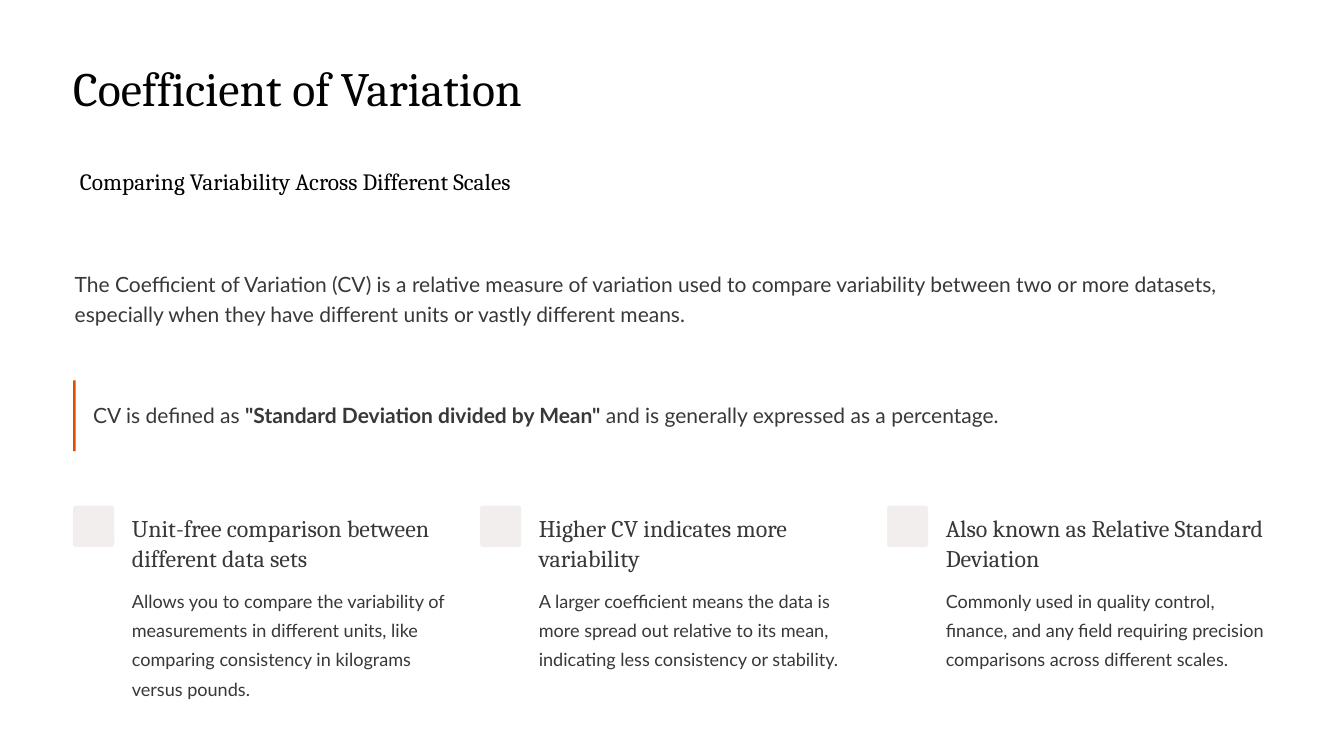
from pptx import Presentation
from pptx.dml.color import RGBColor
from pptx.enum.shapes import MSO_SHAPE
from pptx.util import Inches, Pt

RECT, ROUNDED = MSO_SHAPE.RECTANGLE, MSO_SHAPE.ROUNDED_RECTANGLE
WHITE = RGBColor(0xFF, 0xFF, 0xFF)
BLACK = RGBColor(0x02, 0x02, 0x02)
GREY = RGBColor(0x38, 0x38, 0x38)
ORANGE = RGBColor(0xE0, 0x4F, 0x00)
TILE = RGBColor(0xF2, 0xEE, 0xEE)
SERIF, SANS = "Cambria", "Lato"

TITLE = "Coefficient of Variation"
SUBTITLE = "Comparing Variability Across Different Scales"
INTRO = ("The Coefficient of Variation (CV) is a relative measure of variation used to "
         "compare variability between two or more datasets, especially when they have "
         "different units or vastly different means.")
# (text, bold)
DEFINITION = [
    ("CV is defined as ", False),
    ('"Standard Deviation divided by Mean"', True),
    (" and is generally expressed as a percentage.", False),
]
# (heading, body, body height)
POINTS = [
    ("Unit-free comparison between different data sets",
     "Allows you to compare the variability of measurements in different units, "
     "like comparing consistency in kilograms versus pounds.", 1.39),
    ("Higher CV indicates more variability",
     "A larger coefficient means the data is more spread out relative to its mean, "
     "indicating less consistency or stability.", 1.04),
    ("Also known as Relative Standard Deviation",
     "Commonly used in quality control, finance, and any field requiring precision "
     "comparisons across different scales.", 1.39),
]

MARGIN = 0.87
COLUMN_STEP = 4.845
TILE_SIZE = 0.49
TEXT_INDENT = 0.7
TEXT_WIDTH = 3.87


def add_text(slide, box, runs, font, size, color, line):
    """Add a one-paragraph text box; runs is a list of (text, bold)."""
    tf = slide.shapes.add_textbox(*map(Inches, box)).text_frame
    tf.word_wrap = True
    tf.margin_left = tf.margin_top = tf.margin_right = tf.margin_bottom = 0
    p = tf.paragraphs[0]
    p.line_spacing = Pt(line)
    for text, bold in runs:
        r = p.add_run()
        r.text = text
        r.font.name, r.font.size, r.font.bold = font, Pt(size), bold
        r.font.color.rgb = color


def add_block(slide, kind, box, color):
    sp = slide.shapes.add_shape(kind, *map(Inches, box))
    sp.shadow.inherit = False
    sp.fill.solid()
    sp.fill.fore_color.rgb = color
    sp.line.fill.background()
    return sp


def add_point(slide, left, heading, body, body_height):
    tile = add_block(slide, ROUNDED, (left, 6.02, TILE_SIZE, TILE_SIZE), TILE)
    tile.adjustments[0] = 0.067
    text_left = left + TEXT_INDENT
    add_text(slide, (text_left, 6.1, TEXT_WIDTH, 0.71), [(heading, False)],
             SERIF, 20.5, GREY, 25.5)
    add_text(slide, (text_left, 6.94, TEXT_WIDTH, body_height), [(body, False)],
             SANS, 15.5, GREY, 25)


def main():
    prs = Presentation()
    prs.slide_width, prs.slide_height = Inches(16), Inches(9)
    slide = prs.slides.add_slide(prs.slide_layouts[6])
    slide.background.fill.solid()
    slide.background.fill.fore_color.rgb = WHITE

    add_text(slide, (MARGIN, 0.67, 5.9, 0.71), [(TITLE, False)], SERIF, 41, BLACK, 51)
    add_text(slide, (0.95, 1.34, 14.26, 1.18), [(SUBTITLE, False)], SERIF, 20, BLACK, 70.5)
    add_text(slide, (0.89, 3.19, 14.26, 0.69), [(INTRO, False)], SANS, 18, GREY, 25)
    add_text(slide, (1.11, 4.74, 13.94, 0.35), DEFINITION, SANS, 18, GREY, 25)
    add_block(slide, RECT, (MARGIN, 4.53, 0.03, 0.84), ORANGE)
    for i, point in enumerate(POINTS):
        add_point(slide, MARGIN + i * COLUMN_STEP, *point)

    prs.save("out.pptx")


if __name__ == "__main__":
    main()
